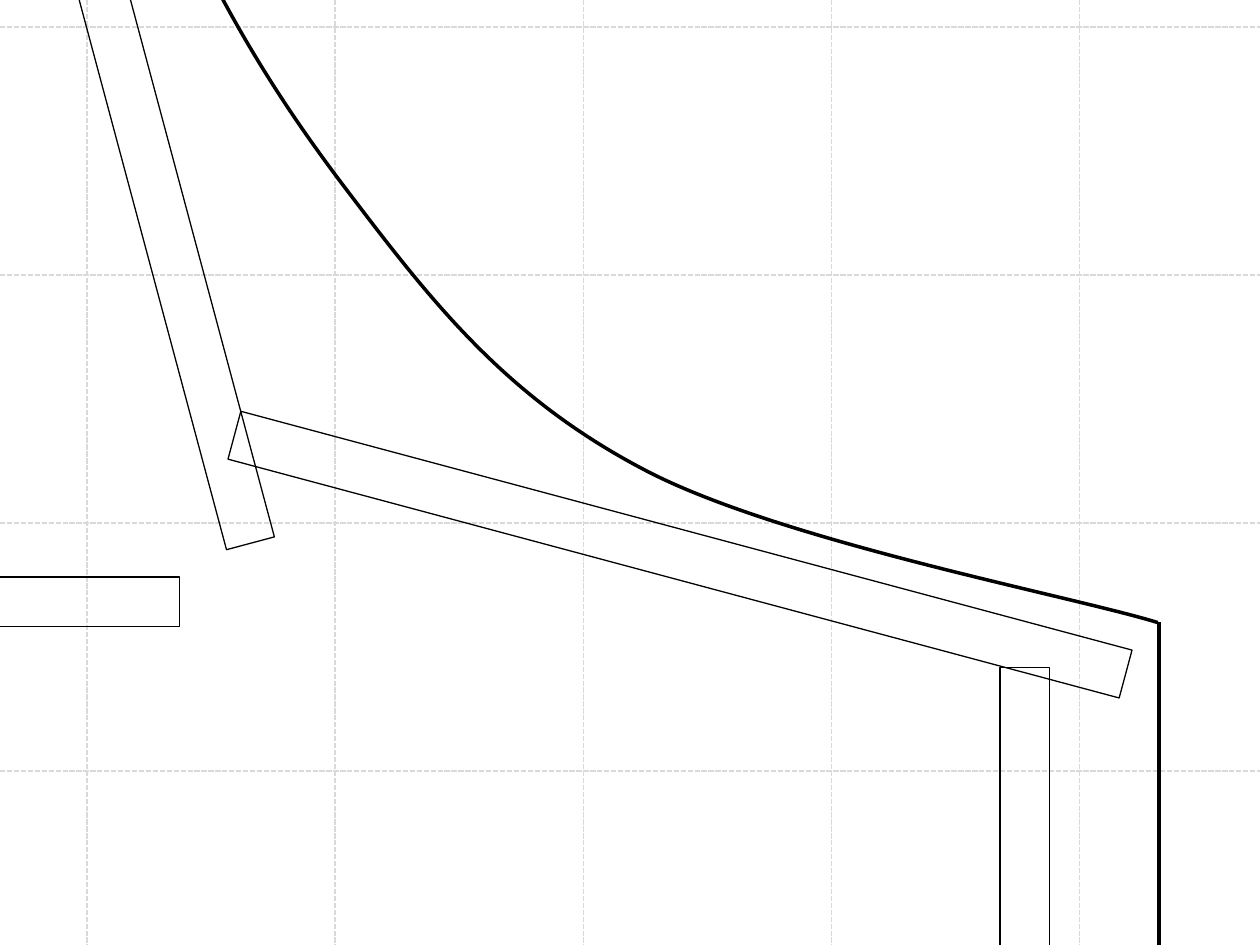
from dataclasses import dataclass

from lxml.etree import SubElement
from pptx import Presentation
from pptx.dml.color import RGBColor
from pptx.enum.dml import MSO_LINE
from pptx.enum.shapes import MSO_CONNECTOR, MSO_SHAPE
from pptx.oxml.ns import qn
from pptx.util import Cm, Pt


@dataclass(frozen=True)
class Theme:
    """Colours and line weights of the drawing."""

    grid: RGBColor = RGBColor(0xD9, 0xD9, 0xD9)
    ink: RGBColor = RGBColor(0, 0, 0)
    grid_weight: float = 1
    bar_weight: float = 0.75
    outline_weight: float = 2


THEME = Theme()
GRID_STEP = 5
GRID_X, GRID_Y = 1.76, 0.54
GRID_COLUMNS, GRID_ROWS = 5, 4
GRID_LEFT, GRID_RIGHT = -23.24, 36.76
GRID_TOP, GRID_BOTTOM = -54.46, 25.54
BAR_THICKNESS = 1

BARS = [
    (20.16, 13.45, BAR_THICKNESS, 9.1, 0),
    (13.21, 1.88, BAR_THICKNESS, 18.6, 285),
    (-2.18, -40.16, BAR_THICKNESS, 52, 345),
    (-16.38, 11.63, 20, BAR_THICKNESS, 0),
]

WALL = ((23.36, 24.54), (23.36, 12.54))
CURVE_START = (4.24, -30.86)
CURVE_LEFTMOST = (-1.52, -21)
CURVE = [
    ((3.43, -30.81), (0.61, -29.46), (-0.13, -28.27)),
    ((-0.84, -27.05), (-1.24, -26.19), (-1.4, -24.33)),
    ((-1.55, -22.45), (-1.73, -20.47), (-1.04, -17.07)),
    ((-0.36, -13.67), (1.35, -7.47), (2.69, -3.96)),
    ((4.06, -0.46), (5.38, 1.73), (7.09, 3.96)),
    ((8.79, 6.2), (10.26, 8.03), (12.95, 9.45)),
    ((15.67, 10.9), (21.59, 12.01), (23.34, 12.55)),
]


def style_line(line, color, weight):
    """Set the colour and weight of a line."""
    line.color.rgb = color
    line.width = Pt(weight)


def add_line(shapes, start, end, color, weight):
    """Add a straight line without a shadow."""
    connector = shapes.add_connector(
        MSO_CONNECTOR.STRAIGHT, *(Cm(value) for value in (*start, *end))
    )
    style_line(connector.line, color, weight)
    SubElement(connector._element.spPr, qn("a:effectLst"))
    return connector


def add_grid(shapes):
    """Add the evenly spaced dashed grid."""
    columns = [GRID_X + GRID_STEP * i for i in range(GRID_COLUMNS)]
    rows = [GRID_Y + GRID_STEP * i for i in range(GRID_ROWS)]
    spans = [((x, GRID_TOP), (x, GRID_BOTTOM)) for x in columns]
    spans += [((GRID_LEFT, y), (GRID_RIGHT, y)) for y in rows]
    for start, end in spans:
        grid_line = add_line(shapes, start, end, THEME.grid, THEME.grid_weight)
        grid_line.line.dash_style = MSO_LINE.SQUARE_DOT


def add_bar(shapes, left, top, width, height, rotation):
    """Add one unfilled bar."""
    bar = shapes.add_shape(
        MSO_SHAPE.RECTANGLE, Cm(left), Cm(top), Cm(width), Cm(height)
    )
    bar.rotation = rotation
    bar.shadow.inherit = False
    bar.fill.background()
    style_line(bar.line, THEME.ink, THEME.bar_weight)


def bend_outline(outline, segments):
    """Replace the straight segments of an outline with cubic ones."""
    left, top = outline.left, outline.top
    outline_path = next(outline._element.iter(qn("a:path")))
    for straight in outline_path.findall(qn("a:lnTo")):
        outline_path.remove(straight)
    for segment in segments:
        cubic = SubElement(outline_path, qn("a:cubicBezTo"))
        for x, y in segment:
            SubElement(
                cubic, qn("a:pt"), x=str(Cm(x) - left), y=str(Cm(y) - top)
            )


def add_curve(shapes, start, leftmost, segments):
    """Add an open outline of cubic segments."""
    builder = shapes.build_freeform(Cm(start[0]), Cm(start[1]))
    extremes = (leftmost, segments[-1][-1])
    builder.add_line_segments([(Cm(x), Cm(y)) for x, y in extremes], close=False)
    curve = builder.convert_to_shape()
    bend_outline(curve, segments)
    curve.shadow.inherit = False
    curve.fill.background()
    style_line(curve.line, THEME.ink, THEME.outline_weight)


def main():
    """Build the slide and save it."""
    presentation = Presentation()
    presentation.slide_width, presentation.slide_height = Cm(25.4), Cm(19.05)
    slide = presentation.slides.add_slide(presentation.slide_layouts[6])
    plan = slide.shapes.add_group_shape().shapes
    add_grid(plan)
    *upper_bars, left_bar = BARS
    for bar in upper_bars:
        add_bar(plan, *bar)
    add_line(plan, *WALL, THEME.ink, THEME.outline_weight)
    add_curve(plan, CURVE_START, CURVE_LEFTMOST, CURVE)
    add_bar(plan, *left_bar)
    presentation.save("out.pptx")


if __name__ == "__main__":
    main()
